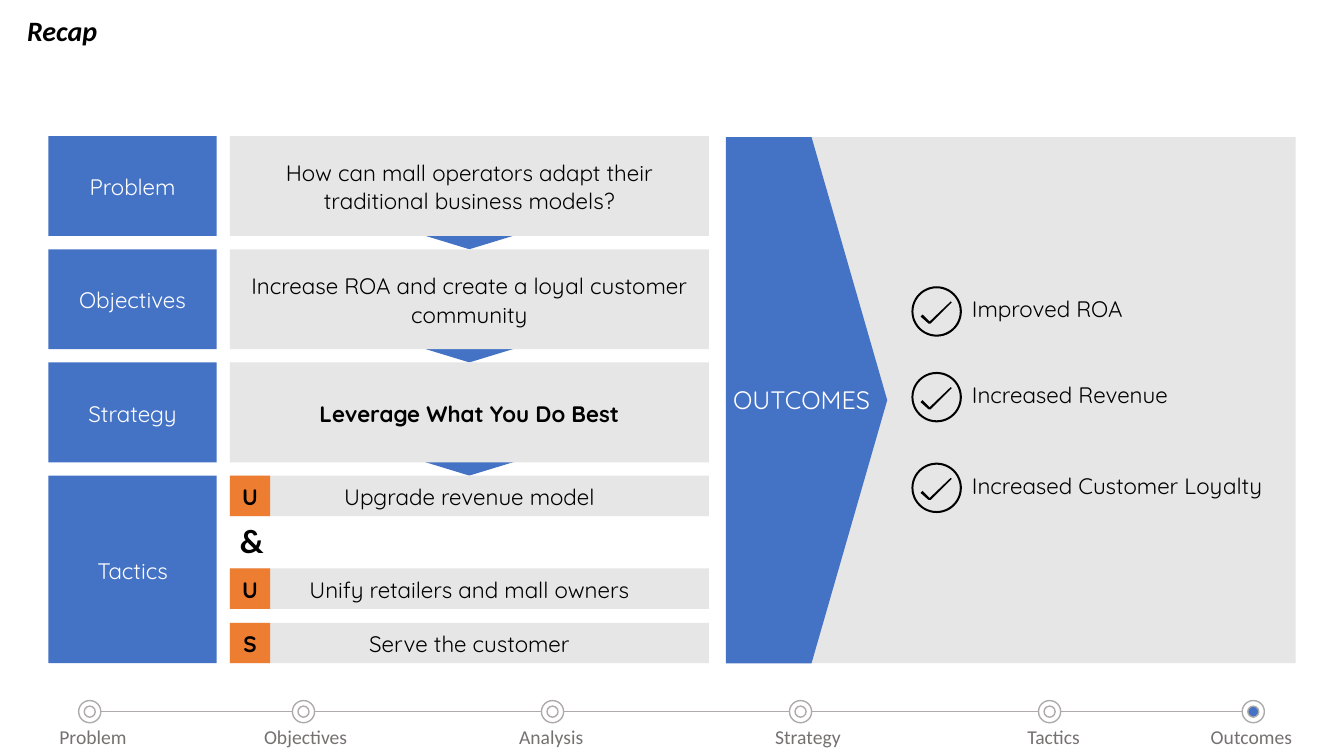
"""Build the recap slide: problem-to-tactics ladder, outcomes panel and progress bar."""
from lxml.etree import SubElement
from pptx import Presentation
from pptx.dml.color import RGBColor
from pptx.enum.shapes import MSO_CONNECTOR as Line, MSO_SHAPE as Preset
from pptx.enum.text import MSO_ANCHOR as Anchor, PP_ALIGN as Align
from pptx.oxml.ns import qn
from pptx.util import Inches, Pt

BLUE, GREY, ORANGE = "4472C4", "E7E6E6", "ED7D31"
BLACK, WHITE, RAIL, CAPTION = "000000", "FFFFFF", "AFABAB", "767171"
BODY, PLAIN = "Quicksand", "Calibri"

STEPS = [
    ("Problem", "How can mall operators adapt their traditional business models?", False),
    ("Objectives", "Increase ROA and create a loyal customer community", False),
    ("Strategy", "Leverage What You Do Best", True),
]
TACTICS = [
    ("U", "Upgrade revenue model", 4.72),
    ("U", "Unify retailers and mall owners", 5.64),
    ("S", "Serve the customer", 6.18),
]
OUTCOMES = [("Improved ROA", 2.84), ("Increased Revenue", 3.69), ("Increased Customer Loyalty", 4.59)]
STAGES = [
    ("Problem", 0.89, 0.49, 0.92), ("Objectives", 3.01, 2.52, 1.08),
    ("Analysis", 5.48, 5.05, 0.85), ("Strategy", 7.94, 7.59, 0.9),
    ("Tactics", 10.41, 10.09, 0.78), ("Outcomes", 12.43, 11.91, 1.06),
]
TICK = [(0.39, 0.15), (0.18, 0.35), (0.11, 0.28), (0.09, 0.3), (0.17, 0.37), (0.19, 0.37), (0.4, 0.16)]

LABEL_X, LABEL_W = 0.48, 1.67
DETAIL_X, DETAIL_W = 2.28, 4.75
TOP, PITCH, STEP_H = 1.35, 1.123, 0.99
TACTICS_H, BAR_H = 1.86, 0.4
ARROW_W, ARROW_H = 1.77, 0.27
PANEL_Y, PANEL_H = 1.36, 5.22
RING_X, RING = 9.04, 0.5
RAIL_Y, DOT, CORE = 7.06, 0.22, 0.11


def color(value):
    return RGBColor.from_string(value)


def style(shape, fill, line=None):
    shape.shadow.inherit = False
    shape.fill.solid()
    shape.fill.fore_color.rgb = color(fill)
    if line:
        shape.line.color.rgb = color(line)
        shape.line.width = Pt(1)
    else:
        shape.line.fill.background()
    return shape


def add_preset(page, preset, left, top, width, height, fill, line=None):
    place = [Inches(v) for v in (left, top, width, height)]
    return style(page.shapes.add_shape(preset, *place), fill, line)


def write(shape, text, size, ink, font, bold=False, italic=False, align=Align.LEFT):
    para = shape.text_frame.paragraphs[0]
    para.text = text
    para.alignment = align
    para.font.size, para.font.name = Pt(size), font
    para.font.bold, para.font.italic = bold, italic
    para.font.color.rgb = color(ink)
    return para


def set_insets(frame, inset):
    frame.margin_left = frame.margin_top = frame.margin_right = frame.margin_bottom = Inches(inset)


def add_block(page, left, top, width, height, fill, text, ink=BLACK, bold=False):
    block = add_preset(page, Preset.RECTANGLE, left, top, width, height, fill)
    set_insets(block.text_frame, 0.1)
    block.text_frame.vertical_anchor = Anchor.MIDDLE
    write(block, text, 16, ink, BODY, bold, align=Align.CENTER).line_spacing = 1.06


def add_text(page, left, top, width, height, text, size, ink, font, wrap=True, inset=None, **look):
    box = page.shapes.add_textbox(*[Inches(v) for v in (left, top, width, height)])
    box.text_frame.word_wrap = wrap
    if inset is not None:
        set_insets(box.text_frame, inset)
    para = write(box, text, size, ink, font, **look)
    if inset == 0:
        para.space_before = Pt(2)
    return box


def add_dot(page, center, size, fill):
    add_preset(page, Preset.OVAL, center - size / 2, RAIL_Y - size / 2, size, size, fill, RAIL)


def add_progress(page):
    ends = STAGES[0][1] + DOT / 2, STAGES[-1][1] - DOT / 2
    rail = page.shapes.add_connector(
        Line.STRAIGHT, Inches(ends[0]), Inches(RAIL_Y), Inches(ends[1]), Inches(RAIL_Y))
    rail.line.color.rgb = color(RAIL)
    rail.line.width = Pt(1)
    SubElement(rail._element.spPr, qn("a:effectLst"))
    for name, center, left, width in STAGES:
        add_dot(page, center, DOT, WHITE)
        add_dot(page, center, CORE, BLUE if name == "Outcomes" else WHITE)
        add_text(page, left, 7.14, width, 0.34, name, 14, CAPTION, PLAIN, wrap=False)


def add_ladder(page):
    for row, (label, detail, bold) in enumerate(STEPS):
        top = TOP + row * PITCH
        arrow = add_preset(page, Preset.ISOSCELES_TRIANGLE, DETAIL_X + (DETAIL_W - ARROW_W) / 2,
                           top + PITCH - ARROW_H, ARROW_W, ARROW_H, BLUE)
        arrow._element.spPr.find(qn("a:xfrm")).set("flipV", "1")
        add_block(page, LABEL_X, top, LABEL_W, STEP_H, BLUE, label, WHITE)
        add_block(page, DETAIL_X, top, DETAIL_W, STEP_H, GREY, detail, bold=bold)
    add_block(page, LABEL_X, TOP + len(STEPS) * PITCH, LABEL_W, TACTICS_H, BLUE, "Tactics", WHITE)
    for letter, tactic, top in TACTICS:
        add_block(page, DETAIL_X, top, DETAIL_W, BAR_H, GREY, tactic)
        add_block(page, DETAIL_X, top, BAR_H, BAR_H, ORANGE, letter, bold=True)
    add_text(page, DETAIL_X, 5.11, 0.73, 0.5, "&", 24, BLACK, PLAIN, bold=True)


def add_outcomes(page):
    add_preset(page, Preset.RECTANGLE, 7.99, PANEL_Y, 4.86, PANEL_H, GREY)
    pointer = add_preset(page, Preset.PENTAGON, 7.2, PANEL_Y, 1.6, PANEL_H, BLUE)
    pointer.adjustments[0] = 0.469
    add_text(page, 7.27, 3.81, 1.41, 0.33, "OUTCOMES", 18, WHITE, BODY, wrap=False, inset=0)
    for outcome, top in OUTCOMES:
        points = [(Inches(RING_X + x), Inches(top + y)) for x, y in TICK]
        outline = page.shapes.build_freeform(*points[0])
        outline.add_line_segments(points[1:], close=True)
        style(outline.convert_to_shape(), BLACK)
        ring = add_preset(page, Preset.DONUT, RING_X, top, RING, RING, BLACK)
        ring.adjustments[0] = 0.04
        add_text(page, RING_X + 0.6, top + 0.09, 3.08, 0.27, outcome, 16, BLACK, BODY, inset=0)


def main():
    deck = Presentation()
    deck.slide_width, deck.slide_height = Inches(13.33), Inches(7.5)
    page = deck.slides.add_slide(deck.slide_layouts[6])
    title = add_text(page, 0.17, 0.17, 12.98, 0.3, "Recap", 20, BLACK, PLAIN, bold=True, italic=True)
    title.text_frame.vertical_anchor = Anchor.MIDDLE
    title.text_frame.paragraphs[0].line_spacing = 0.9
    add_progress(page)
    add_ladder(page)
    add_outcomes(page)
    deck.save("out.pptx")


if __name__ == "__main__":
    main()
